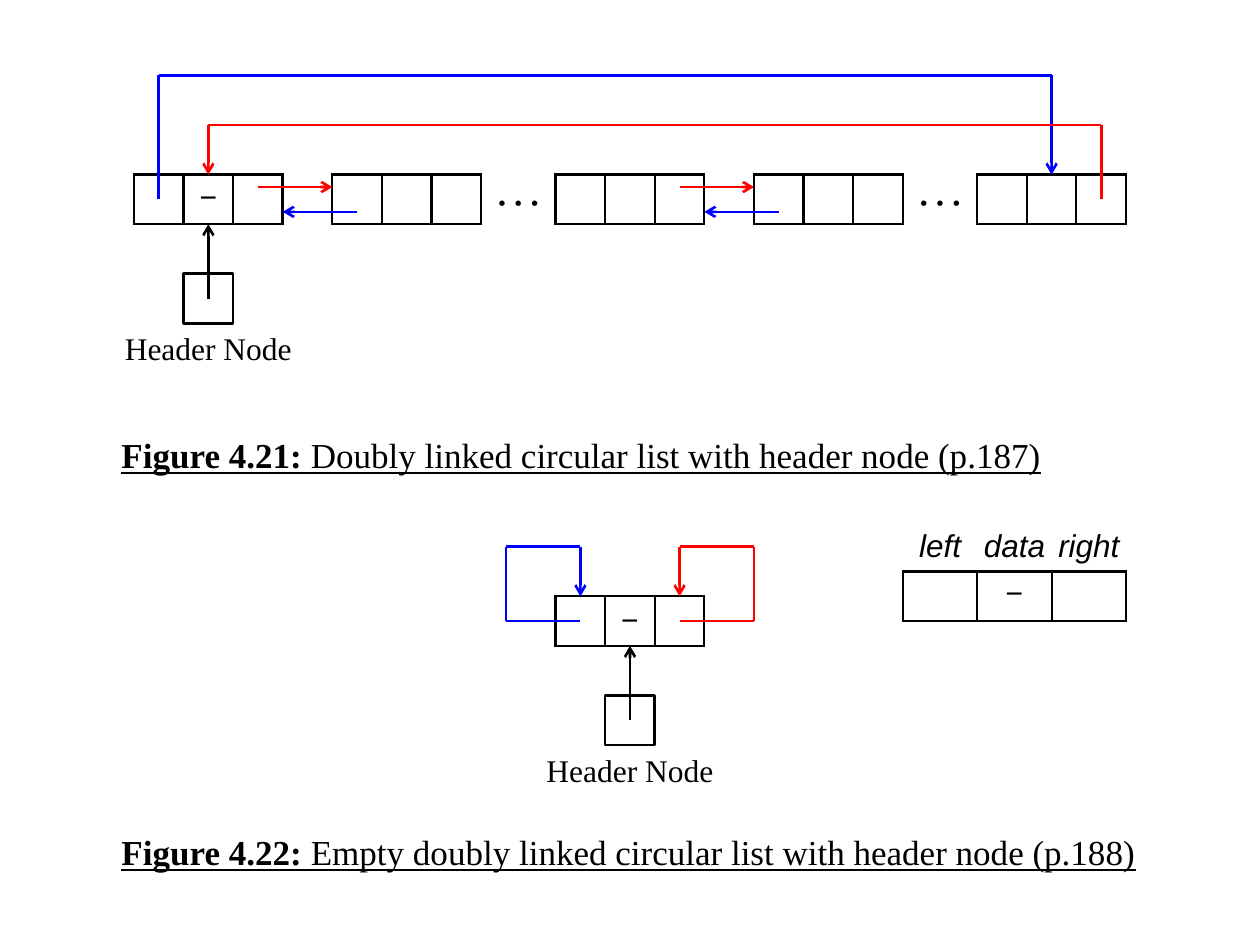
from dataclasses import dataclass
from itertools import pairwise

from lxml.etree import SubElement
from pptx import Presentation
from pptx.dml.color import RGBColor
from pptx.enum.shapes import MSO_CONNECTOR, MSO_SHAPE
from pptx.enum.text import MSO_ANCHOR, PP_ALIGN
from pptx.oxml.ns import qn
from pptx.util import Inches, Length, Pt

COLORS = {"black": "000000", "blue": "0000FF", "red": "FF0000"}
SERIF, SANS = "Times New Roman", "Arial"
LINE = Pt(1.5)
ALL_SIDES = "LRTB"


@dataclass
class Path:
    points: list[tuple[float, float]]
    color: str


@dataclass
class Node:
    x: float
    y: float
    dash: bool = False
    bottom: float = 0


@dataclass
class Header:
    x: float
    y: float


@dataclass
class Caption:
    y: float
    label: str
    title: str


def size(cm: float) -> Length:
    return Inches(cm / 2.54)


def left(x: float) -> Length:
    return size(x + 0.2)


def top(y: float) -> Length:
    return size(y + 0.02)


def rgb(name: str) -> RGBColor:
    return RGBColor.from_string(COLORS[name])


def style(r, pt: float, font: str = SERIF, **flags: bool) -> None:
    r.font.size = Pt(pt)
    r.font.name = font
    r.font.color.rgb = rgb("black")
    for flag, value in flags.items():
        setattr(r.font, flag, value)


def add_path(s, path: Path) -> None:
    for (x1, y1), (x2, y2) in pairwise(path.points):
        sp = s.shapes.add_connector(
            MSO_CONNECTOR.STRAIGHT, left(x1), top(y1), left(x2), top(y2))
        sp.line.color.rgb = rgb(path.color)
        sp.line.width = LINE
        SubElement(sp._element.spPr, qn("a:effectLst"))
    SubElement(sp.line._get_or_add_ln(), qn("a:tailEnd"), type="arrow")


def add_table(s, x: float, y: float, rows: int, col: float):
    tbl = s.shapes.add_table(
        rows, 3, left(x), top(y), size(3 * col), size(rows)).table
    tbl.first_row = tbl.horz_banding = False
    for column in tbl.columns:
        column.width = size(col)
    for row in tbl.rows:
        row.height = size(1)
    return tbl


def format_cell(cell, sides: str = ALL_SIDES) -> None:
    tcPr = cell._tc.get_or_add_tcPr()
    for side in sides:
        ln = SubElement(tcPr, qn(f"a:ln{side}"), w=str(LINE))
        fill = SubElement(ln, qn("a:solidFill"))
        SubElement(fill, qn("a:srgbClr"), val=COLORS["black"])
    cell.fill.background()
    cell.vertical_anchor = MSO_ANCHOR.MIDDLE
    cell.margin_left = cell.margin_right = 0
    cell.margin_top = cell.margin_bottom = 0


def cell_text(cell, text: str, font: str = SERIF, **flags: bool) -> None:
    cell.text = text
    p = cell.text_frame.paragraphs[0]
    p.alignment = PP_ALIGN.CENTER
    style(p.runs[0], 18, font, **flags)


def add_dash(cell, bottom: float) -> None:
    cell_text(cell, "−", bold=True)
    cell.margin_bottom = Inches(bottom)


def add_node(s, node: Node) -> None:
    tbl = add_table(s, node.x, node.y, 1, 1)
    for cell in tbl.iter_cells():
        format_cell(cell)
    if node.dash:
        add_dash(tbl.cell(0, 1), node.bottom)


def add_legend(s, x: float, y: float) -> None:
    tbl = add_table(s, x, y, 2, 1.5)
    for i, name in enumerate(("left", "data", "right")):
        format_cell(tbl.cell(0, i), "B")
        cell_text(tbl.cell(0, i), name, SANS, italic=True)
        format_cell(tbl.cell(1, i))
    add_dash(tbl.cell(1, 1), 0.04)


def add_label(s, x: float, y: float, w: float, text: str, pt: float):
    sp = s.shapes.add_textbox(left(x), top(y), size(w), size(1))
    tf = sp.text_frame
    tf.word_wrap = False
    tf.vertical_anchor = MSO_ANCHOR.MIDDLE
    tf.text = text
    p = tf.paragraphs[0]
    p.alignment = PP_ALIGN.CENTER
    style(p.runs[0], pt)
    return tf


def add_ellipsis(s, x: float, y: float) -> None:
    tf = add_label(s, x, y, 1.5, "⋯", 28)
    tf.margin_top = 0
    tf.margin_bottom = Inches(0.04)


def add_header(s, header: Header) -> None:
    x, y = header.x, header.y
    sp = s.shapes.add_shape(
        MSO_SHAPE.RECTANGLE, left(x - 0.5), top(y), size(1), size(1))
    sp.shadow.inherit = False
    sp.fill.background()
    sp.line.color.rgb = rgb("black")
    sp.line.width = LINE
    add_path(s, Path([(x, y + 0.5), (x, y - 1)], "black"))
    add_label(s, x - 2, y + 1, 4, "Header Node", 18)


def add_caption(s, caption: Caption) -> None:
    sp = s.shapes.add_textbox(left(2), top(caption.y), size(21), size(1))
    tf = sp.text_frame
    tf.word_wrap = True
    tf.margin_top = Inches(0.09)
    p = tf.paragraphs[0]
    for text, bold in ((caption.label, True), (caption.title, False)):
        r = p.add_run()
        r.text = text
        style(r, 20, bold=bold, underline=True)


NODES = [
    Node(2.5, 3.5, True, 0.02), Node(6.5, 3.5), Node(11, 3.5),
    Node(15, 3.5), Node(19.5, 3.5), Node(11, 12, True),
]
PATHS = [
    Path([(3, 4), (3, 1.5), (21, 1.5), (21, 3.5)], "blue"),
    Path([(22, 4), (22, 2.5), (4, 2.5), (4, 3.5)], "red"),
    Path([(11.5, 12.5), (10, 12.5), (10, 11), (11.5, 11), (11.5, 12)], "blue"),
    Path([(13.5, 12.5), (15, 12.5), (15, 11), (13.5, 11), (13.5, 12)], "red"),
]
for x in (5, 13.5):
    PATHS.append(Path([(x, 3.75), (x + 1.5, 3.75)], "red"))
    PATHS.append(Path([(x + 2, 4.25), (x + 0.5, 4.25)], "blue"))
HEADERS = [Header(4, 5.5), Header(12.5, 14)]
CAPTIONS = [
    Caption(8.5, "Figure 4.21: ",
            "Doubly linked circular list with header node (p.187)"),
    Caption(16.5, "Figure 4.22: ",
            "Empty doubly linked circular list with header node (p.188)"),
]


def main() -> None:
    prs = Presentation()
    prs.slide_width, prs.slide_height = Inches(10), Inches(7.5)
    s = prs.slides.add_slide(prs.slide_layouts[6])
    for caption in CAPTIONS:
        add_caption(s, caption)
    for node in NODES:
        add_node(s, node)
    add_legend(s, 18, 10.5)
    for x in (9.5, 18):
        add_ellipsis(s, x, 3.5)
    for path in PATHS:
        add_path(s, path)
    for header in HEADERS:
        add_header(s, header)
    prs.save("out.pptx")


if __name__ == "__main__":
    main()
